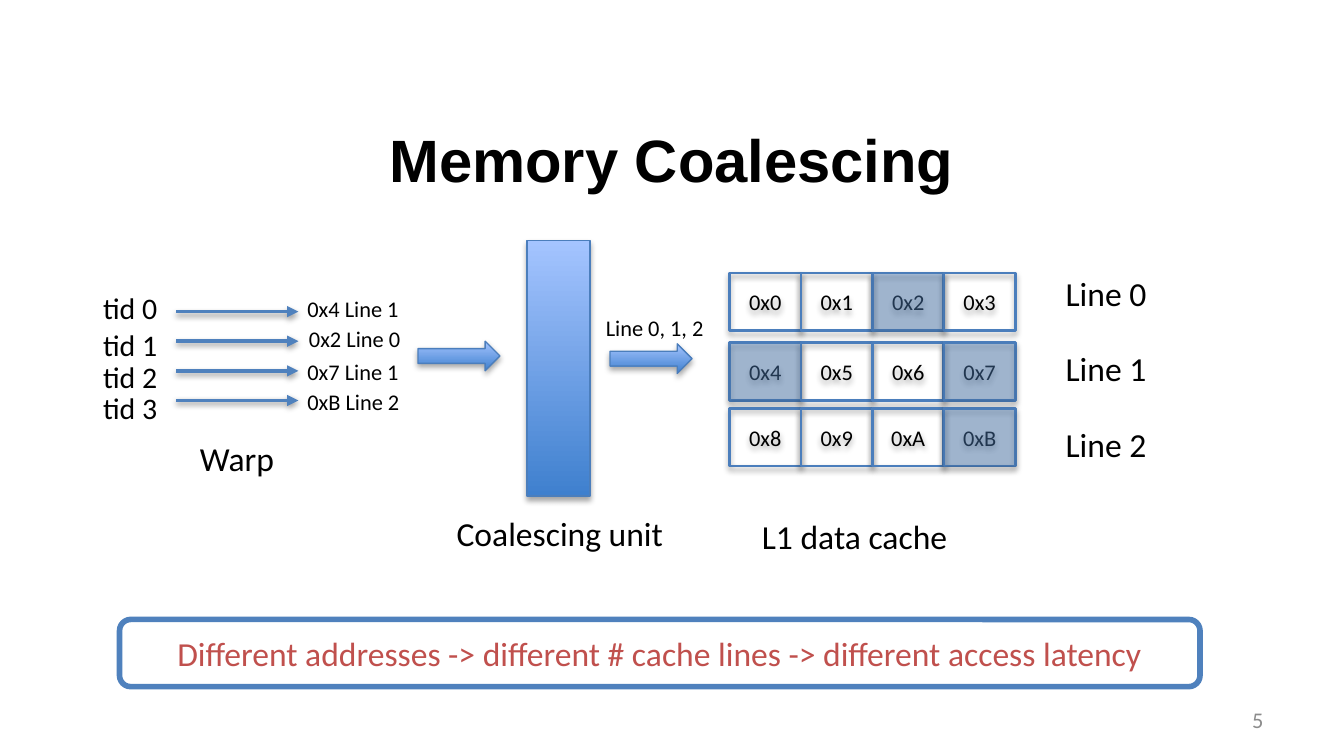
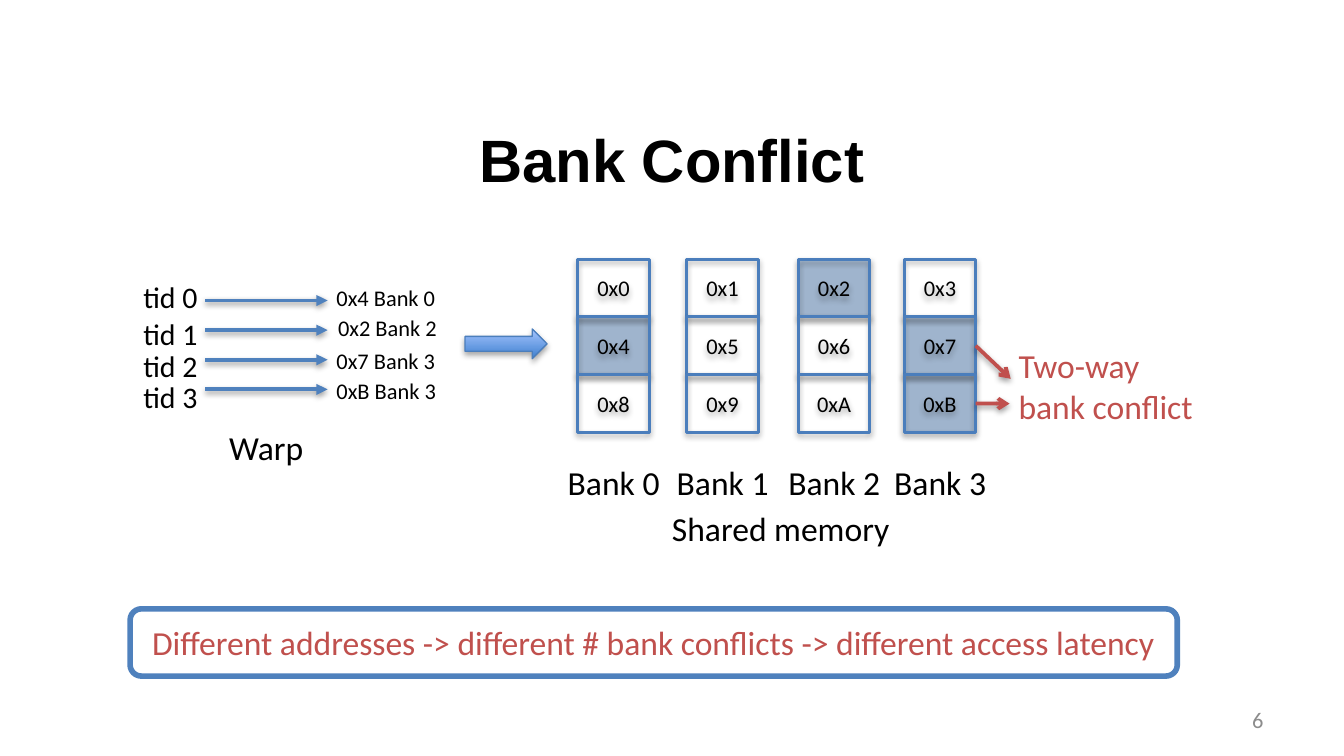
from dataclasses import dataclass
from typing import NamedTuple

from lxml.etree import SubElement
from pptx import Presentation
from pptx.dml.color import RGBColor
from pptx.enum.shapes import MSO_CONNECTOR, MSO_SHAPE
from pptx.enum.text import MSO_ANCHOR, MSO_AUTO_SIZE, PP_ALIGN
from pptx.oxml.ns import qn
from pptx.shapes.autoshape import Shape
from pptx.shapes.connector import Connector
from pptx.slide import Slide
from pptx.text.text import TextFrame
from pptx.util import Cm, Pt

BLACK = RGBColor(0x00, 0x00, 0x00)
GRAY = RGBColor(0x8C, 0x8C, 0x8C)
RED = RGBColor(0xC0, 0x50, 0x4D)
BLUE = RGBColor(0x4F, 0x81, 0xBD)
OUTLINE = RGBColor(0x4B, 0x7E, 0xBC)
GRADIENT_LOW = RGBColor(0x3F, 0x80, 0xCE)
GRADIENT_HIGH = RGBColor(0xA4, 0xC4, 0xFF)

RIGHT_SIDE = 3
CELL_WIDTH, CELL_HEIGHT = 1.35, 1.09
COLUMNS = 4


@dataclass(frozen=True)
class TextStyle:
    size: int
    color: RGBColor = BLACK
    align: PP_ALIGN = PP_ALIGN.LEFT
    font: str = "Calibri"
    bold: bool = False


TITLE = TextStyle(32, align=PP_ALIGN.CENTER, font="Arial", bold=True)
CAPTION = TextStyle(18)
CONFLICT = TextStyle(18, RED)
THREAD = TextStyle(16)
SMALL = TextStyle(12)
CELL = TextStyle(12, align=PP_ALIGN.CENTER)
TAKEAWAY = TextStyle(18, RED, PP_ALIGN.CENTER)
PAGE_NUMBER = TextStyle(12, GRAY, PP_ALIGN.RIGHT)


class Area(NamedTuple):
    """Left, top, width and height in centimetres."""
    left: float
    top: float
    width: float
    height: float

    def lengths(self) -> list[Cm]:
        return [Cm(value) for value in self]


class Cell(NamedTuple):
    row: int
    column: int


class WarpRow(NamedTuple):
    """Tops of one thread's two labels, and the indent of its address."""
    thread_top: float
    address_top: float
    indent: float = 0


WARP_ROWS = [WarpRow(5.36, 5.46), WarpRow(6.05, 6.02, 0.03),
             WarpRow(6.65, 6.65), WarpRow(7.24, 7.21)]


# Basic elements
def write(frame: TextFrame, text: str, style: TextStyle) -> None:
    frame.text = text
    for para in frame.paragraphs:
        para.alignment = style.align
        para.font.name = style.font
        para.font.size = Pt(style.size)
        para.font.bold = style.bold
        para.font.color.rgb = style.color


def add_text(page: Slide, area: Area, text: str, style: TextStyle,
             wrap: bool = True, middle: bool = False) -> None:
    box = page.shapes.add_textbox(*area.lengths())
    frame = box.text_frame
    frame.word_wrap = wrap
    if middle:
        frame.vertical_anchor = MSO_ANCHOR.MIDDLE
    else:
        frame.auto_size = MSO_AUTO_SIZE.SHAPE_TO_FIT_TEXT
    write(frame, text, style)


def add_shadow(item: Shape | Connector, distance: int, opacity: int) -> None:
    properties = item._element.spPr
    effects = properties.find(qn("a:effectLst"))
    if effects is None:
        effects = SubElement(properties, qn("a:effectLst"))
    shadow = SubElement(effects, qn("a:outerShdw"), blurRad="40000",
                        dist=str(distance), dir="5400000", rotWithShape="0")
    color = SubElement(shadow, qn("a:srgbClr"), val="000000")
    SubElement(color, qn("a:alpha"), val=str(opacity * 1000))


def add_box(page: Slide, kind: MSO_SHAPE, area: Area, line: RGBColor | None,
            line_width: float = 0, shadow: bool = True) -> Shape:
    box = page.shapes.add_shape(kind, *area.lengths())
    box.shadow.inherit = False
    box.fill.background()
    if line is None:
        box.line.fill.background()
    else:
        box.line.color.rgb = line
        box.line.width = Pt(line_width)
    if shadow:
        add_shadow(box, 23000, 35)
    return box


def add_gradient_box(page: Slide, kind: MSO_SHAPE, area: Area) -> None:
    box = add_box(page, kind, area, OUTLINE, 0.75)
    box.fill.gradient()
    box.fill.gradient_angle = 90
    for stop, color in zip(box.fill.gradient_stops,
                           (GRADIENT_LOW, GRADIENT_HIGH)):
        stop.color.rgb = color


def add_block_arrow(page: Slide, left: float, top: float) -> None:
    add_gradient_box(page, MSO_SHAPE.RIGHT_ARROW, Area(left, top, 1.55, 0.56))


def add_arrow(page: Slide, start: tuple[float, float],
              end: tuple[float, float], color: RGBColor,
              head: str) -> Connector:
    arrow = page.shapes.add_connector(
        MSO_CONNECTOR.STRAIGHT, *(Cm(value) for value in start + end))
    arrow.line.color.rgb = color
    arrow.line.width = Pt(2)
    SubElement(arrow.line._get_or_add_ln(), qn("a:tailEnd"), type=head)
    add_shadow(arrow, 20000, 38)
    return arrow


# Memory cells
def add_cell(page: Slide, cell: Cell, left: float, top: float) -> Shape:
    box = add_box(page, MSO_SHAPE.RECTANGLE,
                  Area(left, top, CELL_WIDTH, CELL_HEIGHT), OUTLINE, 1.5)
    box.text_frame.vertical_anchor = MSO_ANCHOR.MIDDLE
    write(box.text_frame, f"0x{cell.row * COLUMNS + cell.column:X}", CELL)
    return box


def add_cells(page: Slide, lefts: list[float],
              tops: list[float]) -> dict[Cell, Shape]:
    return {Cell(row, column): add_cell(page, Cell(row, column), left, top)
            for column, left in enumerate(lefts)
            for row, top in enumerate(tops)}


def add_tints(page: Slide, cells: list[Cell], lefts: list[float],
              tops: list[float]) -> None:
    for row, column in cells:
        tint = add_box(page, MSO_SHAPE.RECTANGLE,
                       Area(lefts[column], tops[row], CELL_WIDTH, CELL_HEIGHT),
                       None)
        tint.fill.solid()
        tint.fill.fore_color.rgb = BLUE
        color = tint._element.spPr.find(qn("a:solidFill"))[0]
        SubElement(color, qn("a:alpha"), val="42000")


# Parts found on both slides
def add_warp(page: Slide, addresses: list[str], thread_left: float,
             right: float = 0, up: float = 0) -> None:
    for index, (row, address) in enumerate(zip(WARP_ROWS, addresses)):
        add_text(page, Area(thread_left, row.thread_top - up, 1.68, 0.94),
                 f"tid {index}", THREAD)
        add_text(page, Area(5.56 + right + row.indent, row.address_top - up,
                            2.74, 0.76), address, SMALL)
        height = 5.89 - up + 0.56 * index
        add_arrow(page, (3.33 + right, height), (5.64 + right, height),
                  BLUE, "triangle")
    add_text(page, Area(3.53 + right, 8.15 - up, 1.93, 1.02), "Warp", CAPTION,
             wrap=False)


def add_frame(page: Slide, title: str, takeaway: str, takeaway_area: Area,
              number: int) -> None:
    add_text(page, Area(1.27, 1.88, 22.86, 2.24), title, TITLE, middle=True)
    box = add_box(page, MSO_SHAPE.ROUNDED_RECTANGLE, takeaway_area, BLUE, 3,
                  shadow=False)
    box.text_frame.vertical_anchor = MSO_ANCHOR.MIDDLE
    write(box.text_frame, takeaway, TAKEAWAY)
    add_text(page, Area(18.21, 13.23, 5.92, 0.76), str(number), PAGE_NUMBER,
             middle=True)


# Slides
def build_coalescing(page: Slide) -> None:
    add_frame(page, "Memory Coalescing",
              "Different addresses -> different # cache lines"
              " -> different access latency",
              Area(2.26, 11.71, 20.42, 1.27), 5)
    add_warp(page, ["0x4 Line 1", "0x2 Line 0", "0x7 Line 1", "0xB Line 2"],
             thread_left=1.7)

    # Coalescing unit with its input and output
    add_block_arrow(page, 7.9, 6.45)
    add_gradient_box(page, MSO_SHAPE.RECTANGLE, Area(9.96, 4.55, 1.19, 4.83))
    add_text(page, Area(8.38, 9.58, 4.7, 1.02), "Coalescing unit", CAPTION)
    add_block_arrow(page, 11.53, 6.5)
    add_text(page, Area(11.2, 5.82, 2.54, 0.76), "Line 0, 1, 2", SMALL)

    # Cache lines
    lefts = [13.79 + CELL_WIDTH * column for column in range(COLUMNS)]
    tops = [5.16, 6.48, 7.72]
    add_cells(page, lefts, tops)
    add_tints(page, [Cell(1, 0), Cell(0, 2), Cell(1, 3), Cell(2, 3)],
              lefts, tops)
    for line in range(len(tops)):
        add_text(page, Area(19.89, 5.03 + 1.43 * line, 2.06, 1.02),
                 f"Line {line}", CAPTION, wrap=False)
    add_text(page, Area(14.15, 9.63, 4.7, 1.02), "L1 data cache", CAPTION)


def build_conflict(page: Slide) -> None:
    add_frame(page, "Bank Conflict",
              "Different addresses -> different # bank conflicts"
              " -> different access latency",
              Area(2.46, 11.51, 19.79, 1.27), 6)
    add_warp(page, ["0x4 Bank 0", "0x2 Bank 2", "0x7 Bank 3", "0xB Bank 3"],
             thread_left=2.46, right=0.55, up=0.21)
    add_block_arrow(page, 8.79, 6.22)

    # Memory banks
    lefts = [10.92, 12.98, 15.09, 17.09]
    tops = [4.9 + CELL_HEIGHT * row for row in range(3)]
    add_tints(page, [Cell(2, 3), Cell(1, 3), Cell(1, 0), Cell(0, 2)],
              lefts, tops)
    cells = add_cells(page, lefts, tops)
    for bank, left in enumerate(lefts):
        add_text(page, Area(left - 0.44, 8.6, 2.26, 1.02), f"Bank {bank}",
                 CAPTION, wrap=False)
    add_text(page, Area(12.45, 9.47, 4.7, 1.02), "Shared memory", CAPTION)

    # Conflicting accesses
    add_text(page, Area(19, 6.4, 4.52, 1.8), "Two-way\nbank conflict", CONFLICT)
    for cell, end in ((Cell(1, 3), (19.1, 7.16)), (Cell(2, 3), (19.08, 7.63))):
        start = (lefts[3] + CELL_WIDTH, tops[cell.row] + CELL_HEIGHT / 2)
        arrow = add_arrow(page, start, end, RED, "arrow")
        arrow.begin_connect(cells[cell], RIGHT_SIDE)


def main() -> None:
    deck = Presentation()
    deck.slide_width, deck.slide_height = Cm(25.4), Cm(14.29)
    for build in (build_coalescing, build_conflict):
        build(deck.slides.add_slide(deck.slide_layouts[6]))
    deck.save("out.pptx")


if __name__ == "__main__":
    main()
